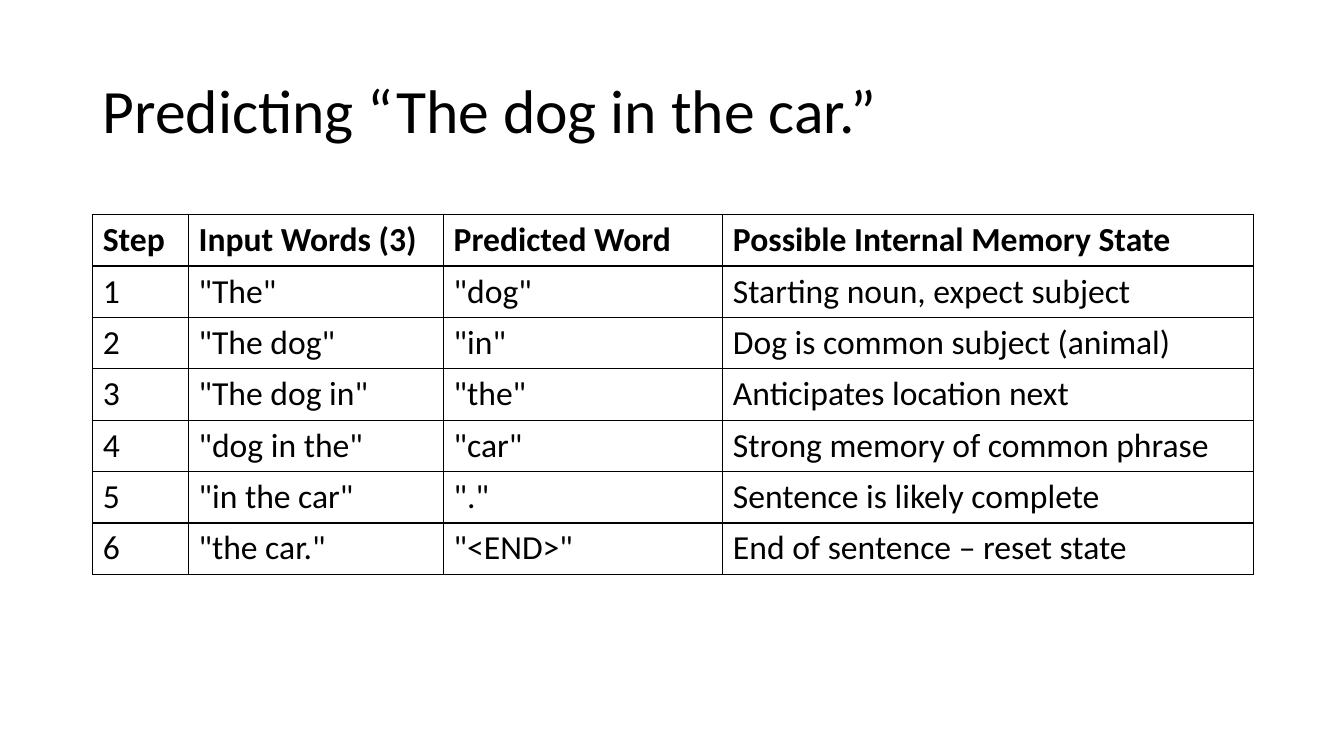
from lxml.etree import SubElement
from pptx import Presentation
from pptx.dml.color import RGBColor
from pptx.enum.text import MSO_ANCHOR as Anchor
from pptx.oxml.ns import qn
from pptx.util import Inches, Pt

COLORS = {"ink": "000000", "rule": "000000"}
FONT = "Calibri"
SLIDE_WIDTH, SLIDE_HEIGHT = Inches(13.33), Inches(7.5)
LEFT = Inches(0.92)
COLUMN_WIDTHS = [Inches(width) for width in (0.95, 2.53, 2.77, 5.26)]
ROW_HEIGHT = Inches(0.51)
HEADINGS = ("Step", "Input Words (3)", "Predicted Word", "Possible Internal Memory State")
PREDICTIONS = [
    ('"The"', '"dog"', "Starting noun, expect subject"),
    ('"The dog"', '"in"', "Dog is common subject (animal)"),
    ('"The dog in"', '"the"', "Anticipates location next"),
    ('"dog in the"', '"car"', "Strong memory of common phrase"),
    ('"in the car"', '"."', "Sentence is likely complete"),
    ('"the car."', '"<END>"', "End of sentence – reset state"),
]


def write(frame, text, size, bold=False):
    """Put one formatted line of text in a frame."""
    frame.text = text
    font = frame.paragraphs[0].runs[0].font
    font.name, font.size, font.bold = FONT, Pt(size), bold
    font.color.rgb = RGBColor.from_string(COLORS["ink"])


def add_title(slide, text):
    """Add the slide title, centred vertically in its band."""
    title = slide.shapes.add_textbox(LEFT, Inches(0.4), Inches(11.5), Inches(1.45))
    frame = title.text_frame
    frame.word_wrap = True
    frame.vertical_anchor = Anchor.MIDDLE
    write(frame, text, 44)
    frame.paragraphs[0].line_spacing = 0.9


def rule_cell(cell):
    """Draw thin rules on all four sides of a cell."""
    properties = cell._tc.get_or_add_tcPr()
    for side in ("lnL", "lnR", "lnT", "lnB"):
        rule = SubElement(properties, qn(f"a:{side}"), w=str(Pt(1)))
        fill = SubElement(rule, qn("a:solidFill"))
        SubElement(fill, qn("a:srgbClr"), val=COLORS["rule"])


def add_prediction_table(slide, headings, predictions):
    """Add the table of numbered prediction steps."""
    steps = [(str(step), *entry) for step, entry in enumerate(predictions, 1)]
    rows = [headings, *steps]
    table = slide.shapes.add_table(
        len(rows), len(headings), LEFT, Inches(2.13),
        sum(COLUMN_WIDTHS), ROW_HEIGHT * len(rows),
    ).table
    table.horz_banding = False
    for column, width in zip(table.columns, COLUMN_WIDTHS):
        column.width = width
    for row_index, row in enumerate(rows):
        for column_index, text in enumerate(row):
            cell = table.cell(row_index, column_index)
            rule_cell(cell)
            cell.fill.background()
            write(cell.text_frame, text, 24, bold=row_index == 0)


def main():
    """Build and save the slide."""
    deck = Presentation()
    deck.slide_width, deck.slide_height = SLIDE_WIDTH, SLIDE_HEIGHT
    slide = deck.slides.add_slide(deck.slide_layouts[6])
    add_title(slide, "Predicting “The dog in the car.”")
    add_prediction_table(slide, HEADINGS, PREDICTIONS)
    deck.save("out.pptx")


if __name__ == "__main__":
    main()
